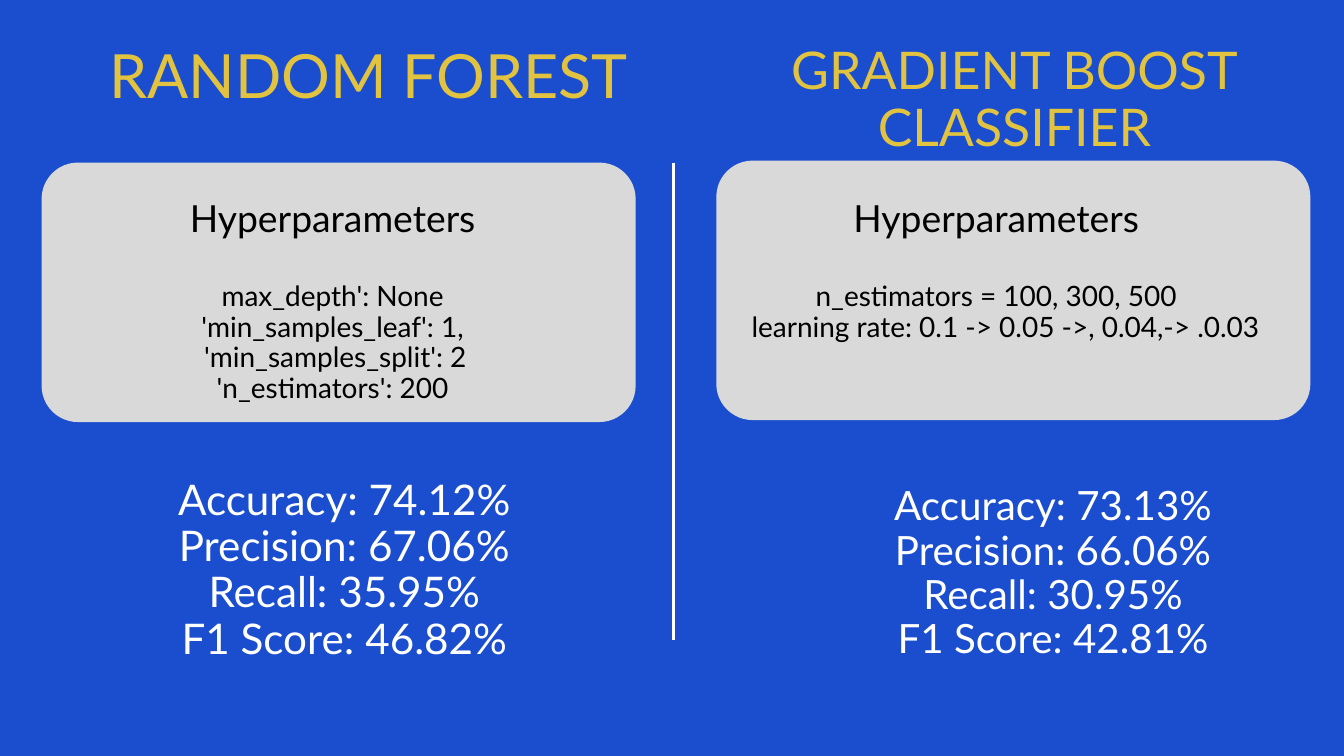
from dataclasses import dataclass

from lxml.etree import SubElement
from pptx import Presentation
from pptx.dml.color import RGBColor
from pptx.enum.shapes import MSO_CONNECTOR, MSO_SHAPE
from pptx.enum.text import MSO_ANCHOR, PP_ALIGN
from pptx.oxml.ns import qn
from pptx.slide import Slide
from pptx.util import Pt


@dataclass(frozen=True)
class Theme:
    font: str = "Lato"
    back: str = "1B4ECF"
    gold: str = "E1C340"
    white: str = "FFFFFF"
    grey: str = "D9D9D9"
    black: str = "000000"
    head: float = 40
    body: float = 30
    lead: float = 1.1


@dataclass(frozen=True)
class Line:
    text: str
    size: float
    gap: float = 0
    left: float = 0
    right: float = 0


@dataclass(frozen=True)
class Block:
    x: float
    y: float
    wide: float
    high: float
    tint: str
    lines: list[Line]


@dataclass(frozen=True)
class Card:
    x: float
    y: float
    wide: float = 636.5
    high: float = 278


THEME = Theme()


def tone(code: str) -> RGBColor:
    return RGBColor.from_string(code)


def draw_block(slide: Slide, block: Block) -> None:
    box = slide.shapes.add_textbox(Pt(block.x), Pt(block.y), Pt(block.wide), Pt(block.high))
    frame = box.text_frame
    form = {"word_wrap": True, "vertical_anchor": MSO_ANCHOR.TOP, "margin_left": 0,
            "margin_right": 0, "margin_top": 0, "margin_bottom": 0}
    for key, value in form.items():
        setattr(frame, key, value)
    for rank, line in enumerate(block.lines):
        para = frame.add_paragraph() if rank else frame.paragraphs[0]
        form = {"alignment": PP_ALIGN.CENTER, "space_before": Pt(line.gap),
                "line_spacing": Pt(round(line.size * THEME.lead, 1))}
        for key, value in form.items():
            setattr(para, key, value)
        for key, value in {"marL": line.left, "marR": line.right}.items():
            if value:
                para._p.get_or_add_pPr().set(key, str(Pt(value)))
        run = para.add_run()
        run.text = line.text
        for key, value in {"name": THEME.font, "size": Pt(line.size)}.items():
            setattr(run.font, key, value)
        run.font.color.rgb = tone(block.tint)


def draw_card(slide: Slide, card: Card) -> None:
    shape = slide.shapes.add_shape(MSO_SHAPE.ROUNDED_RECTANGLE, Pt(card.x), Pt(card.y),
                                   Pt(card.wide), Pt(card.high))
    shape.adjustments[0] = 0.14
    shape.shadow.inherit = False
    shape.fill.solid()
    shape.fill.fore_color.rgb = tone(THEME.grey)
    shape.line.fill.background()


def draw_rule(slide: Slide, x: float, top: float, end: float) -> None:
    rule = slide.shapes.add_connector(MSO_CONNECTOR.STRAIGHT, Pt(x), Pt(top), Pt(x), Pt(end))
    rule.line.width = Pt(3)
    rule.line.color.rgb = tone(THEME.white)
    SubElement(rule._element.spPr, qn("a:effectLst"))


def scores(size: float, *rates: str) -> list[Line]:
    names = ("Accuracy", "Precision", "Recall", "F1 Score")
    return [Line(f"{name}: {rate}%", size) for name, rate in zip(names, rates)]


def params(first: str, *rest: Line) -> list[Line]:
    return [Line("Hyperparameters", THEME.head),
            Line(first, THEME.body, gap=THEME.head * THEME.lead), *rest]


CARDS = [Card(44.6, 174.2), Card(767.5, 172.1)]

BLOCKS = [
    Block(67.7, 46.8, 653.8, 72.7, THEME.gold, [Line("RANDOM FOREST", 65.3)]),
    Block(788.4, 46.1, 609.1, 123, THEME.gold, [
        Line("GRADIENT BOOST", 55.6, right=12),
        Line("CLASSIFIER", 55.6),
    ]),
    Block(162, 213.3, 388.8, 220, THEME.black, params(
        "max_depth': None",
        Line("'min_samples_leaf': 1,", THEME.body),
        Line("'min_samples_split': 2", THEME.body, left=6),
        Line("'n_estimators': 200", THEME.body),
    )),
    Block(722.9, 213.3, 689, 154, THEME.black, params(
        "n_estimators = 100, 300, 500",
        Line("learning rate: 0.1 -> 0.05 ->, 0.04,-> .0.03", THEME.body, left=20),
    )),
    Block(105.8, 511.2, 526.3, 206, THEME.white,
          scores(45.2, "74.12", "67.06", "35.95", "46.82")),
    Block(900, 519.1, 456.5, 194.4, THEME.white,
          scores(43.2, "73.13", "66.06", "30.95", "42.81")),
]


def main() -> None:
    deck = Presentation()
    for key, value in {"slide_width": Pt(1440), "slide_height": Pt(810)}.items():
        setattr(deck, key, value)
    slide = deck.slides.add_slide(deck.slide_layouts[6])
    slide.background.fill.solid()
    slide.background.fill.fore_color.rgb = tone(THEME.back)
    draw_rule(slide, 721.5, 174.2, 685.4)
    for card in CARDS:
        draw_card(slide, card)
    for block in BLOCKS:
        draw_block(slide, block)
    deck.save("out.pptx")


if __name__ == "__main__":
    main()
